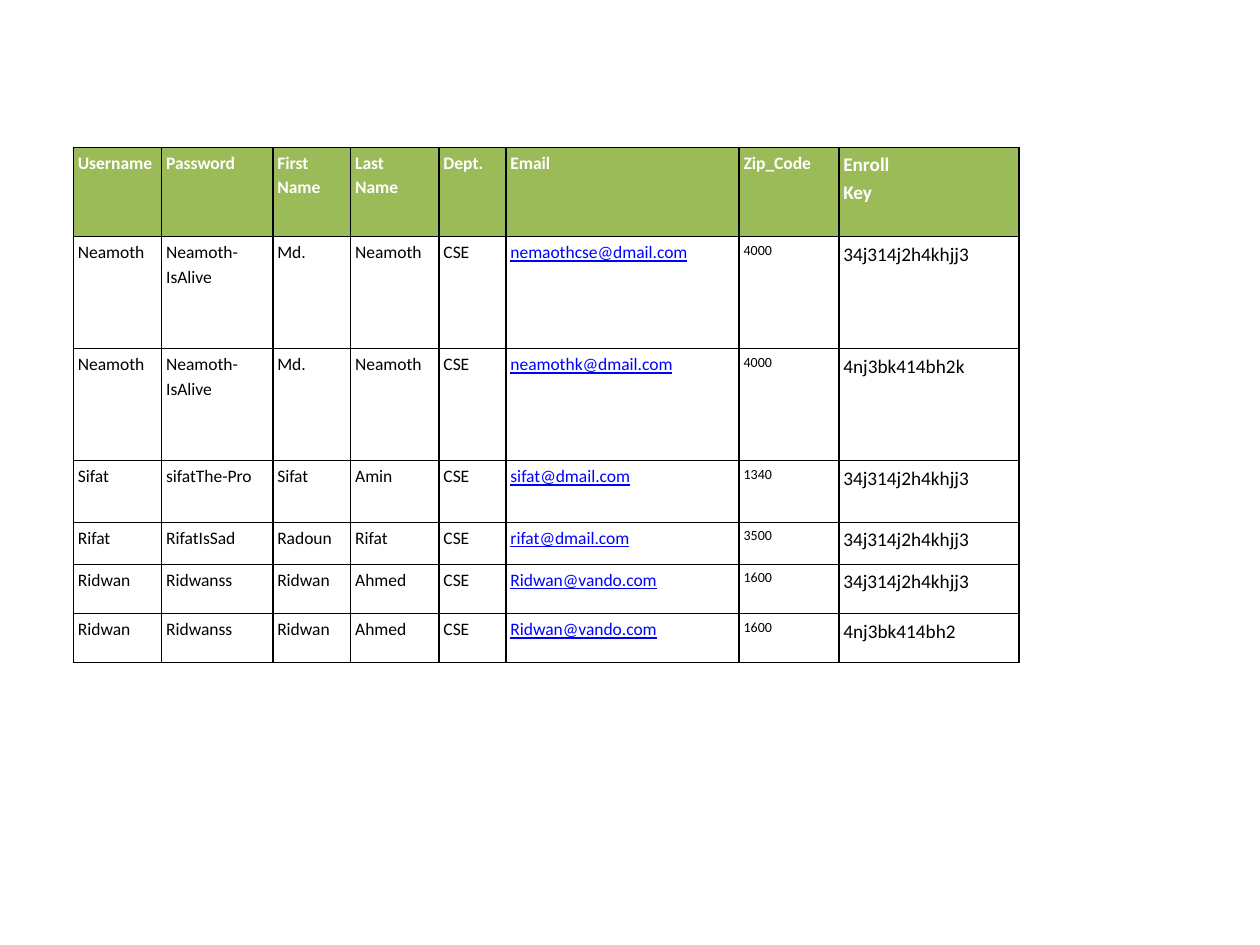
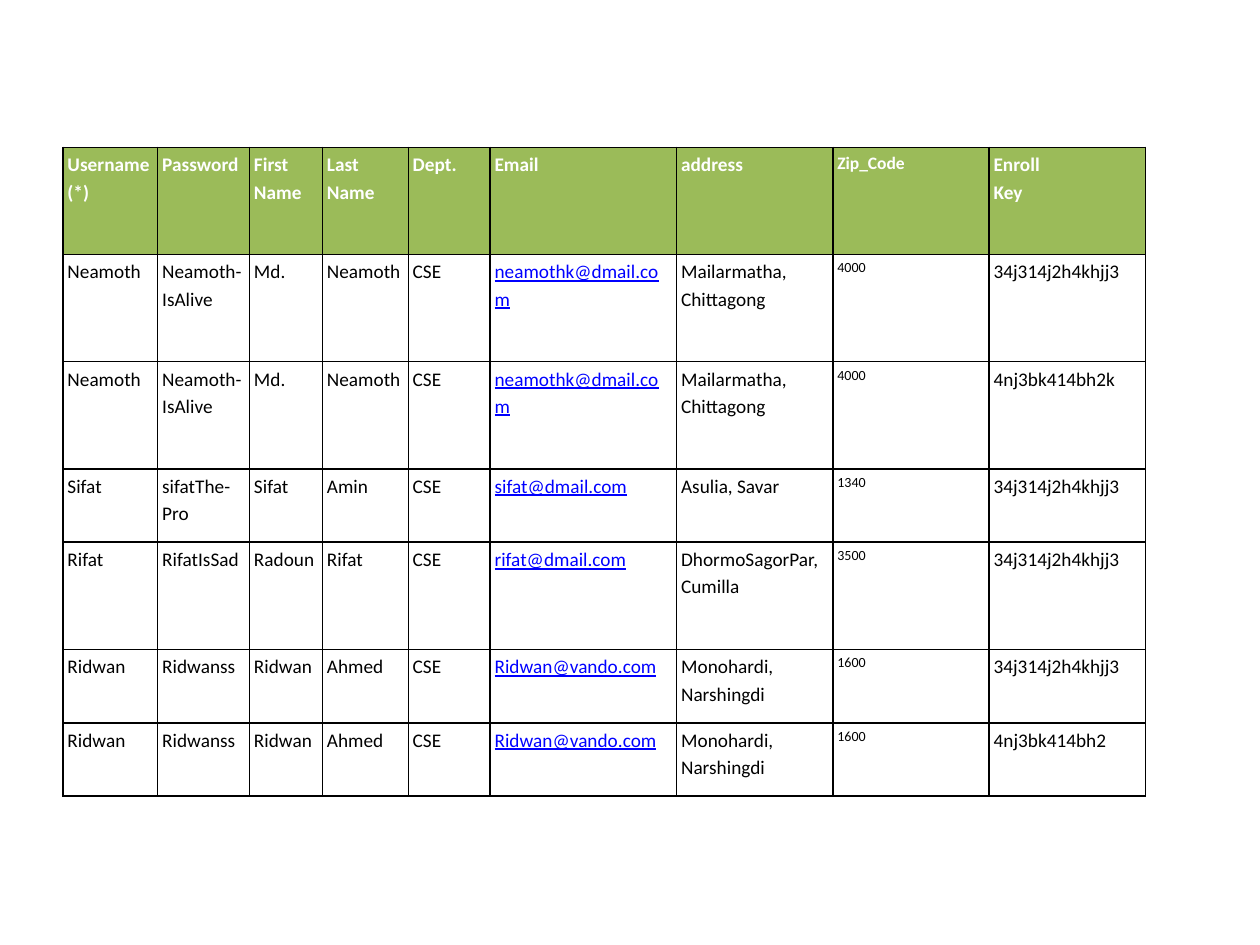
from lxml import etree
from pptx import Presentation
from pptx import util as u
from pptx.dml.color import RGBColor
from pptx.oxml.ns import qn

GREEN = RGBColor(0x9B, 0xBB, 0x59)
WHITE = RGBColor(0xFF, 0xFF, 0xFF)
BLACK = RGBColor(0x00, 0x00, 0x00)
LINK_BLUE = RGBColor(0x00, 0x00, 0xFF)
FONT = "Calibri"
TABLE_TOP = 2.97
ZIP_CODE = "Zip_Code"
ENROLL_KEY = "Enroll\nKey"

FIELDS = ["Username", "Password", "First\nName", "Last\nName", "Dept.",
          "Email", "address", ZIP_CODE, ENROLL_KEY]
NEAMOTH = ["Neamoth", "Neamoth-IsAlive", "Md.", "Neamoth", "CSE",
           "neamothk@dmail.com", "Mailarmatha, Chittagong", "4000"]
SIFAT = ["Sifat", "sifatThe-Pro", "Sifat", "Amin", "CSE",
         "sifat@dmail.com", "Asulia, Savar", "1340"]
RIFAT = ["Rifat", "RifatIsSad", "Radoun", "Rifat", "CSE",
         "rifat@dmail.com", "DhormoSagorPar, Cumilla", "3500"]
RIDWAN = ["Ridwan", "Ridwanss", "Ridwan", "Ahmed", "CSE",
          "Ridwan@vando.com", "Monohardi, Narshingdi", "1600"]
SHARED_KEY = "34j314j2h4khjj3"
ENROLLMENTS = [
    NEAMOTH + [SHARED_KEY],
    NEAMOTH + ["4nj3bk414bh2k"],
    SIFAT + [SHARED_KEY],
    RIFAT + [SHARED_KEY],
    RIDWAN + [SHARED_KEY],
    RIDWAN + ["4nj3bk414bh2"],
]


def draw_borders(cell):
    properties = cell._tc.get_or_add_tcPr()
    for side in ("a:lnL", "a:lnR", "a:lnT", "a:lnB"):
        line = etree.SubElement(properties, qn(side), w=str(u.Pt(1)))
        fill = etree.SubElement(line, qn("a:solidFill"))
        etree.SubElement(fill, qn("a:srgbClr"), val=str(BLACK))


def text_size(field, is_header, base_size):
    if field == ZIP_CODE:
        return 10 if is_header else 8
    return 11 if field == ENROLL_KEY else base_size


def fill_cell(cell, content, field, is_header, base_size):
    cell.margin_left = cell.margin_right = u.Cm(0.09)
    cell.margin_top = cell.margin_bottom = u.Cm(0.05)
    draw_borders(cell)
    if is_header:
        cell.fill.solid()
        cell.fill.fore_color.rgb = GREEN
    else:
        cell.fill.background()
    is_link = field == "Email" and not is_header
    cell.text_frame.text = content
    for para in cell.text_frame.paragraphs:
        para.line_spacing = 1.15
        for span in para.runs:
            font = span.font
            font.name = FONT
            font.size = u.Pt(text_size(field, is_header, base_size))
            font.bold = is_header
            font.underline = is_link
            font.color.rgb = WHITE if is_header else LINK_BLUE if is_link else BLACK


def add_student_table(page, left, widths, heights, fields, rows, base_size):
    frame = page.shapes.add_table(
        len(rows), len(fields), u.Cm(left), u.Cm(TABLE_TOP),
        u.Cm(sum(widths)), u.Cm(sum(heights)))
    table = frame.table
    table.first_row = table.horz_banding = False
    for column, width in zip(table.columns, widths):
        column.width = u.Cm(width)
    for row, height in zip(table.rows, heights):
        row.height = u.Cm(height)
    for row_index, values in enumerate(rows):
        for column_index, content in enumerate(values):
            fill_cell(table.cell(row_index, column_index), content,
                      fields[column_index], row_index == 0, base_size)


def without_address(values):
    position = FIELDS.index("address")
    return values[:position] + values[position + 1:]


def add_page(deck):
    return deck.slides.add_slide(deck.slide_layouts[6])


def add_short_table(deck):
    rows = [without_address(values) for values in [FIELDS] + ENROLLMENTS]
    rows[1][FIELDS.index("Email")] = "nemaothcse@dmail.com"
    add_student_table(
        add_page(deck), 1.48,
        [1.78, 2.24, 1.57, 1.78, 1.35, 4.7, 2.01, 3.63],
        [1.8, 2.26, 2.26, 1.24, 0.85, 0.99, 0.99],
        rows[0], rows, 10)


def add_address_table(deck):
    header = ["Username\n(*)"] + FIELDS[1:]
    tall, low = 2.16, 1.48
    add_student_table(
        add_page(deck), 1.27,
        [1.91, 1.85, 1.47, 1.73, 1.65, 3.76] + [3.15] * 3,
        [tall, tall, tall, low, tall, low, low],
        FIELDS, [header] + ENROLLMENTS, 11)


def main():
    deck = Presentation()
    deck.slide_width = u.Cm(25.4)
    deck.slide_height = u.Cm(19.05)
    add_short_table(deck)
    add_address_table(deck)
    deck.save("out.pptx")


main()
